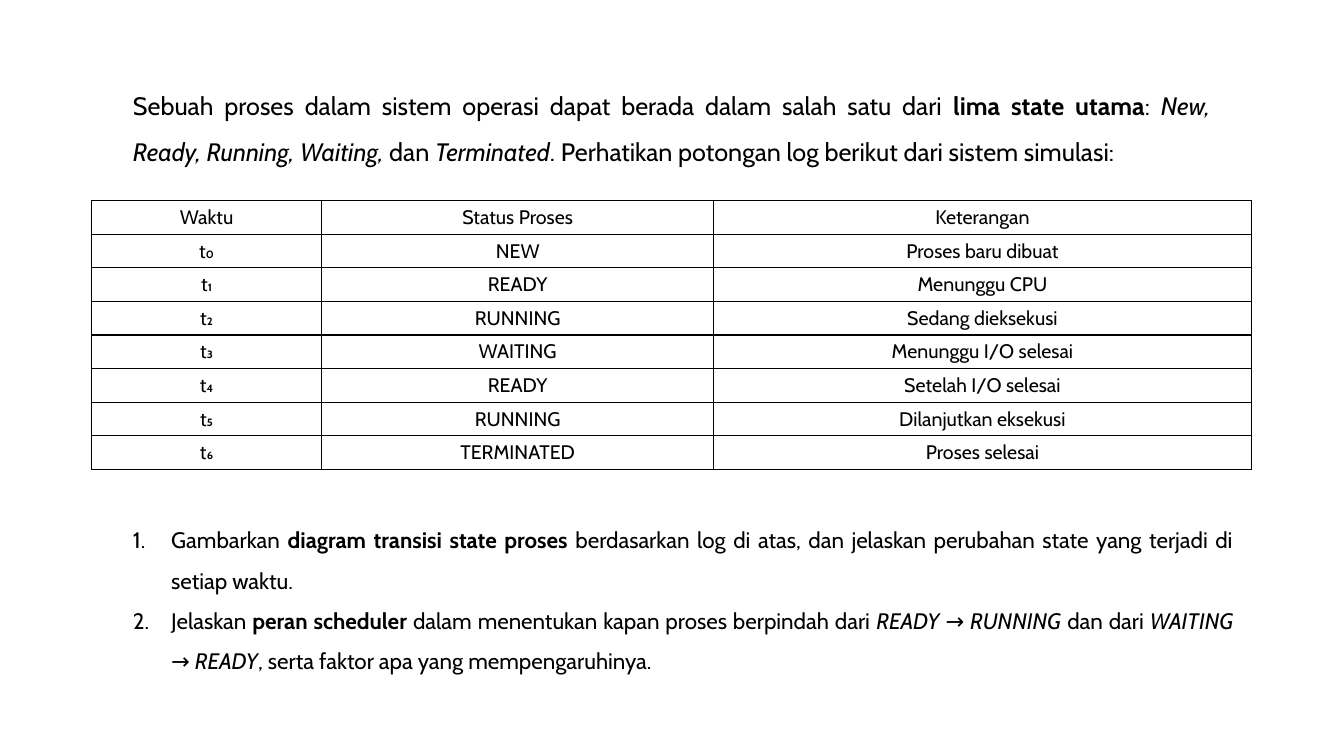
from dataclasses import dataclass

from lxml import etree
from pptx import Presentation
from pptx.dml import color
from pptx.enum import text
from pptx.oxml import ns
from pptx.util import Inches, Pt

COLORS = {"ink": "000000"}
FONT = "Cabin"


@dataclass(frozen=True)
class Span:
    words: str
    bold: bool = False
    italic: bool = False


@dataclass(frozen=True)
class TextBlock:
    left: float
    top: float
    width: float
    height: float
    size: int
    paragraphs: list[list[Span]]
    numbered: bool = False


INTRO = TextBlock(1.22, 0.7, 10.88, 1.01, 18, [[
    Span("Sebuah proses dalam sistem operasi dapat berada dalam salah satu dari "),
    Span("lima state utama", bold=True),
    Span(": "),
    Span("New, Ready, Running, Waiting,", italic=True),
    Span(" dan "),
    Span("Terminated", italic=True),
    Span(". Perhatikan potongan log berikut dari sistem simulasi:"),
]])

QUESTIONS = TextBlock(1.22, 5.04, 11.11, 1.72, 16, [
    [
        Span("Gambarkan "),
        Span("diagram transisi state proses", bold=True),
        Span(" berdasarkan log di atas, dan jelaskan perubahan state yang terjadi di setiap waktu."),
    ],
    [
        Span("Jelaskan "),
        Span("peran scheduler", bold=True),
        Span(" dalam menentukan kapan proses berpindah dari "),
        Span("READY → RUNNING", italic=True),
        Span(" dan dari "),
        Span("WAITING → READY", italic=True),
        Span(", serta faktor apa yang mempengaruhinya."),
    ],
], numbered=True)

LOG = [
    ("Waktu", "Status Proses", "Keterangan"),
    ("t₀", "NEW", "Proses baru dibuat"),
    ("t₁", "READY", "Menunggu CPU"),
    ("t₂", "RUNNING", "Sedang dieksekusi"),
    ("t₃", "WAITING", "Menunggu I/O selesai"),
    ("t₄", "READY", "Setelah I/O selesai"),
    ("t₅", "RUNNING", "Dilanjutkan eksekusi"),
    ("t₆", "TERMINATED", "Proses selesai"),
]
COLUMN_WIDTHS = [2.28, 3.89, 5.33]
LOG_HEIGHT = 2.67


def style_font(font, size: int, bold: bool = False, italic: bool = False) -> None:
    font.name = FONT
    font.size = Pt(size)
    font.bold = bold
    font.italic = italic
    font.color.rgb = color.RGBColor.from_string(COLORS["ink"])


def number_paragraph(para) -> None:
    properties = para._p.get_or_add_pPr()
    properties.set("marL", str(Inches(0.38)))
    properties.set("indent", str(-Inches(0.38)))
    etree.SubElement(properties, ns.qn("a:buFont"), typeface="+mj-lt")
    etree.SubElement(properties, ns.qn("a:buAutoNum"), type="arabicPeriod")


def draw_text(page, block: TextBlock) -> None:
    box = page.shapes.add_textbox(
        Inches(block.left), Inches(block.top), Inches(block.width), Inches(block.height))
    frame = box.text_frame
    frame.word_wrap = True
    frame.auto_size = text.MSO_AUTO_SIZE.SHAPE_TO_FIT_TEXT
    for index, spans in enumerate(block.paragraphs):
        para = frame.add_paragraph() if index else frame.paragraphs[0]
        if block.numbered:
            number_paragraph(para)
        para.alignment = text.PP_ALIGN.JUSTIFY
        para.line_spacing = 1.5
        for span in spans:
            run = para.add_run()
            run.text = span.words
            style_font(run.font, block.size, span.bold, span.italic)


def outline_cell(cell) -> None:
    properties = cell._tc.get_or_add_tcPr()
    for side in ("L", "R", "T", "B"):
        line = etree.SubElement(properties, ns.qn(f"a:ln{side}"), w=str(Pt(1)))
        fill = etree.SubElement(line, ns.qn("a:solidFill"))
        etree.SubElement(fill, ns.qn("a:srgbClr"), val=COLORS["ink"])


def draw_log(page) -> None:
    table = page.shapes.add_table(
        len(LOG), len(COLUMN_WIDTHS), Inches(0.91), Inches(1.99),
        Inches(sum(COLUMN_WIDTHS)), Inches(LOG_HEIGHT)).table
    table.first_row = False
    table.horz_banding = False
    for column, width in zip(table.columns, COLUMN_WIDTHS):
        column.width = Inches(width)
    for row, entries in zip(table.rows, LOG):
        row.height = Inches(LOG_HEIGHT / len(LOG))
        for cell, words in zip(row.cells, entries):
            outline_cell(cell)
            cell.fill.background()
            cell.margin_top = cell.margin_bottom = 0
            cell.vertical_anchor = text.MSO_ANCHOR.MIDDLE
            para = cell.text_frame.paragraphs[0]
            para.text = words
            para.alignment = text.PP_ALIGN.CENTER
            style_font(para.runs[0].font, 14)


def main() -> None:
    deck = Presentation()
    deck.slide_width = Inches(13.33)
    deck.slide_height = Inches(7.5)
    page = deck.slides.add_slide(deck.slide_layouts[6])
    draw_text(page, INTRO)
    draw_log(page)
    draw_text(page, QUESTIONS)
    deck.save("out.pptx")


if __name__ == "__main__":
    main()
